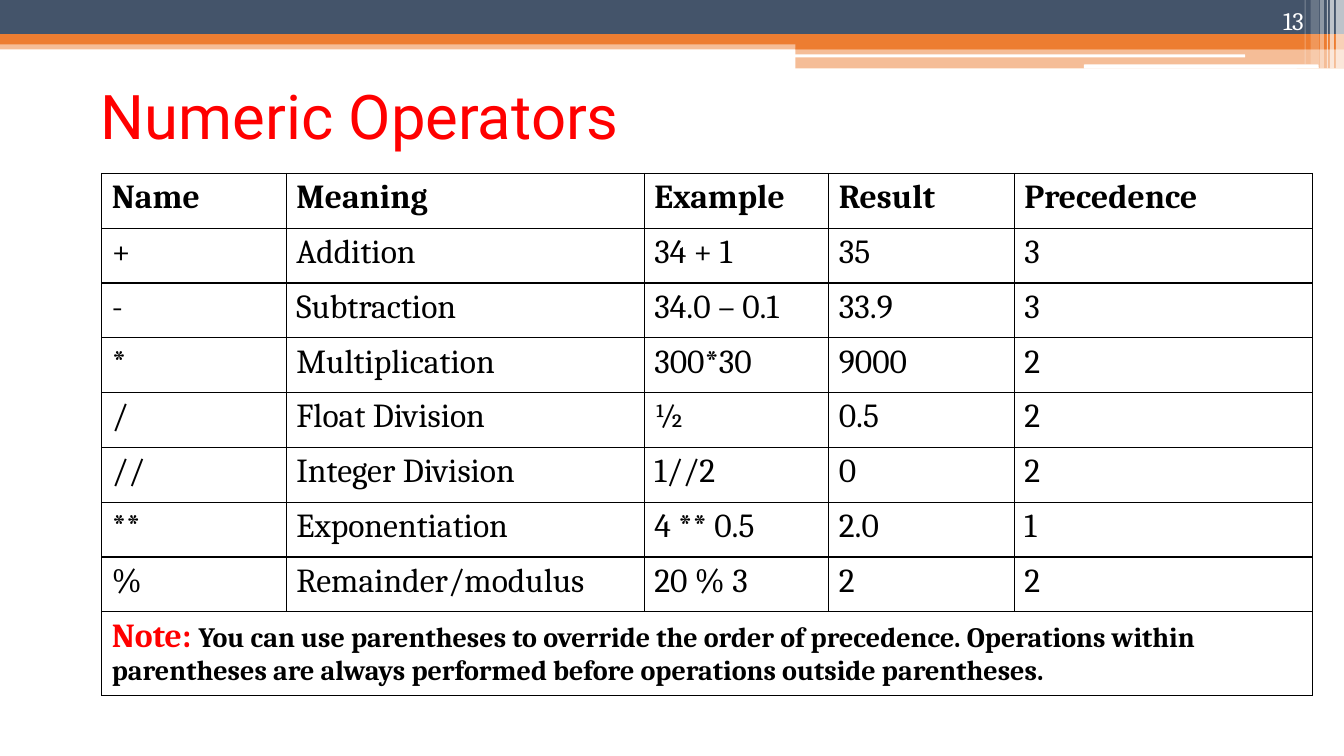
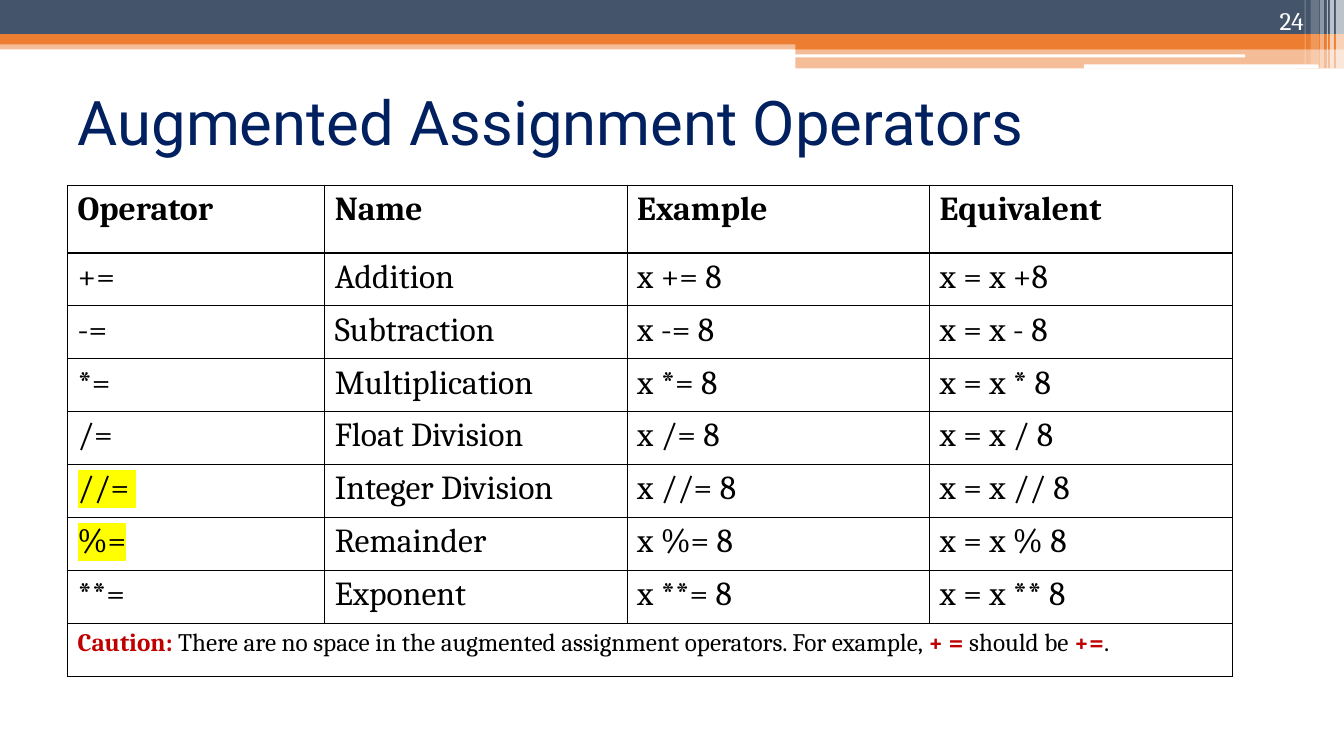
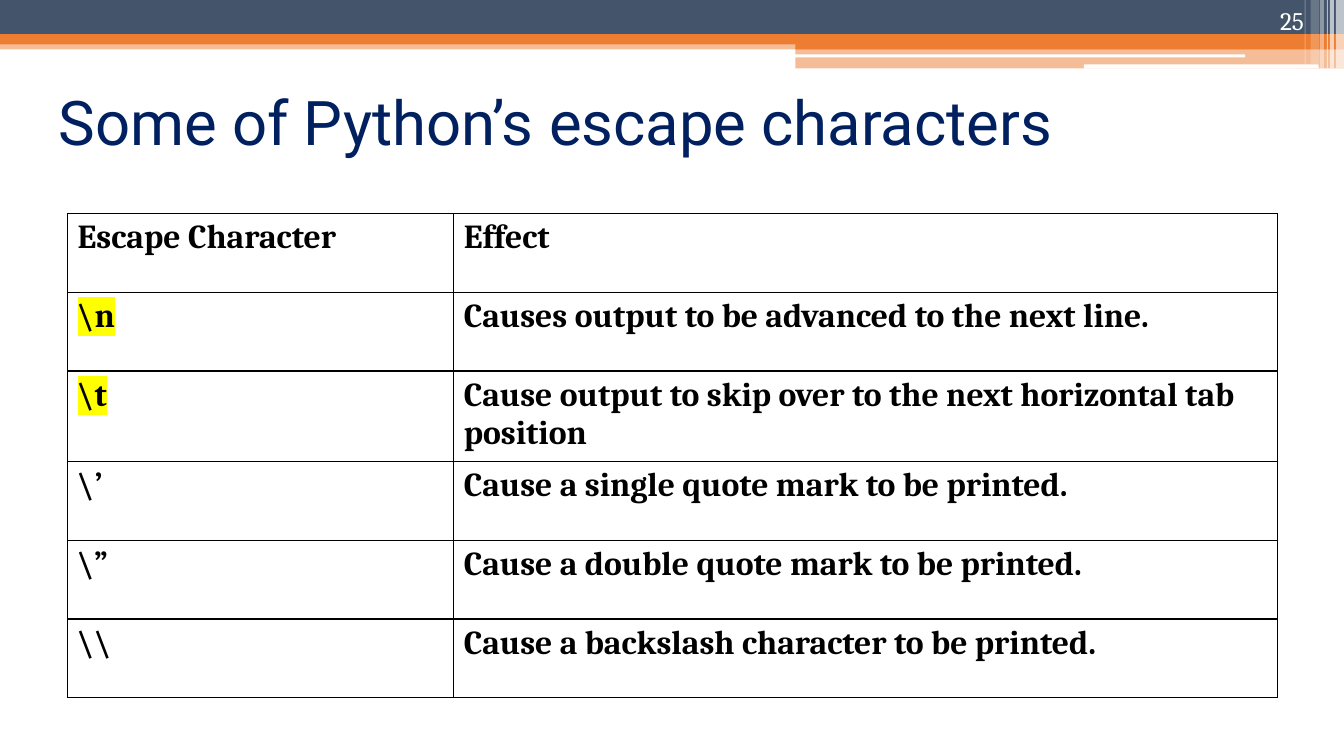
from lxml.etree import SubElement
from pptx import Presentation
from pptx.dml.color import RGBColor
from pptx.enum.shapes import MSO_SHAPE
from pptx.enum.text import MSO_ANCHOR, PP_ALIGN
from pptx.oxml import parse_xml
from pptx.oxml.ns import nsdecls, qn
from pptx.util import Inches, Pt

NAVY, RED, DARK_RED = "002060", "FF0000", "C00000"
BLACK, WHITE, YELLOW = "000000", "FFFFFF", "FFFF00"
SLATE, ORANGE = "44546A", "ED7D31"

BANDS = [
    (0, 0.4, 13.33, 0.09, ORANGE, 50),
    (0, 0, 13.33, 0.34, SLATE, 100),
    (0, 0.34, 13.33, 0.1, ORANGE, 100),
    (7.89, 0.39, 5.44, 0.1, ORANGE, 100),
    (7.89, 0.48, 5.44, 0.2, ORANGE, 50),
]
PILLS = [(7.88, 0.54, 4.47, 0.03, WHITE, 100), (10.75, 0.64, 2.33, 0.04, WHITE, 100)]
STRIPES = [
    (left, 0, width, height, WHITE, opacity)
    for left, width, height, opacity in [
        (13.25, 0.08, 0.68, 65),
        (13.19, 0.04, 0.68, 65),
        (13.16, 0.01, 0.68, 60),
        (13.09, 0.04, 0.68, 40),
        (13, 0.08, 0.64, 20),
        (12.94, 0.01, 0.64, 30),
    ]
]


def color(hex_string):
    return RGBColor.from_string(hex_string)


class Deck:
    title_font = "Roboto"
    body_font = "Cambria"

    def __init__(self):
        self.presentation = Presentation()
        self.presentation.slide_width = Inches(13.33)
        self.presentation.slide_height = Inches(7.5)
        self.layout = self.presentation.slide_layouts[5]
        for placeholder in list(self.layout.placeholders)[1:]:
            placeholder.element.getparent().remove(placeholder.element)
        self.slide = None

    def add_slide(self, title, title_left, title_top, title_color, number):
        first = self.slide is None
        self.slide = self.presentation.slides.add_slide(self.layout)
        if first:
            self.decorate_layout()
        self.add_title(title, title_left, title_top, title_color)
        self.add_number(number)

    def decorate_layout(self):
        kinds = [
            (MSO_SHAPE.RECTANGLE, BANDS),
            (MSO_SHAPE.ROUNDED_RECTANGLE, PILLS),
            (MSO_SHAPE.RECTANGLE, STRIPES),
        ]
        bars = [self.add_bar(kind, *bar) for kind, group in kinds for bar in group]
        for shape_id, bar in enumerate(bars, start=100):
            bar.element.xpath(".//p:cNvPr")[0].set("id", str(shape_id))
            self.layout.shapes.element.append(bar.element)

    def add_bar(self, kind, left, top, width, height, fill, opacity):
        shape = self.slide.shapes.add_shape(
            kind, Inches(left), Inches(top), Inches(width), Inches(height)
        )
        shape.shadow.inherit = False
        shape.line.fill.background()
        shape.fill.solid()
        shape.fill.fore_color.rgb = color(fill)
        if opacity < 100:
            fill_color = shape.element.spPr.find(".//" + qn("a:srgbClr"))
            SubElement(fill_color, qn("a:alpha")).set("val", str(opacity * 1000))
        return shape

    def set_font(self, font, name, size, hex_string, bold=False):
        font.name = name
        font.size = Pt(size)
        font.color.rgb = color(hex_string)
        font.bold = bold

    def add_title(self, text, left, top, hex_string):
        title = self.slide.shapes.title
        title.left, title.top = Inches(left), Inches(top)
        title.width, title.height = Inches(12), Inches(1.17)
        title.text_frame.vertical_anchor = MSO_ANCHOR.MIDDLE
        paragraph = title.text_frame.paragraphs[0]
        paragraph.text = text
        paragraph.alignment = PP_ALIGN.LEFT
        self.set_font(paragraph.font, self.title_font, 44, hex_string)

    def add_number(self, number):
        box = self.slide.shapes.add_textbox(
            Inches(11.92), Inches(0), Inches(1.11), Inches(0.4)
        )
        box.text_frame.word_wrap = True
        box.text_frame.vertical_anchor = MSO_ANCHOR.BOTTOM
        paragraph = box.text_frame.paragraphs[0]
        paragraph.text = str(number)
        paragraph.alignment = PP_ALIGN.RIGHT
        self.set_font(paragraph.font, self.body_font, 18, WHITE)

    def add_table(self, left, top, widths, heights, rows, note=None, bold_body=False):
        frame = self.slide.shapes.add_table(
            len(heights), len(widths), Inches(left), Inches(top),
            Inches(sum(widths)), Inches(sum(heights)),
        )
        table = frame.table
        table.first_row = table.horz_banding = False
        for column, width in zip(table.columns, widths):
            column.width = Inches(width)
        for row, height in zip(table.rows, heights):
            row.height = Inches(height)
        for cell in table.iter_cells():
            self.style_cell(cell)
        for row_index, row in enumerate(rows):
            for column_index, content in enumerate(row):
                cell = table.cell(row_index, column_index)
                self.fill_cell(cell, content, bold_body or row_index == 0)
        if note:
            last = len(heights) - 1
            table.cell(last, 0).merge(table.cell(last, len(widths) - 1))
            self.fill_cell(table.cell(last, 0), note)

    def style_cell(self, cell):
        cell.fill.background()
        properties = cell._tc.get_or_add_tcPr()
        for index, side in enumerate(("lnL", "lnR", "lnT", "lnB")):
            properties.insert(index, parse_xml(
                f'<a:{side} {nsdecls("a")} w="{Pt(1)}"><a:solidFill>'
                f'<a:srgbClr val="{BLACK}"/></a:solidFill></a:{side}>'
            ))

    def fill_cell(self, cell, content, bold=False):
        paragraph = cell.text_frame.paragraphs[0]
        self.set_font(paragraph.font, self.body_font, 24, BLACK, bold)
        runs = [(content, {})] if isinstance(content, str) else content
        for text, style in runs:
            self.add_run(paragraph, text, **style)

    def add_run(self, paragraph, text, size=None, fill=None, bold=None, highlight=None):
        run = paragraph.add_run()
        run.text = text
        if size:
            run.font.size = Pt(size)
        if fill:
            run.font.color.rgb = color(fill)
        if bold is not None:
            run.font.bold = bold
        if highlight:
            marker = SubElement(run.font._element, qn("a:highlight"))
            SubElement(marker, qn("a:srgbClr")).set("val", highlight)


def marked(text):
    return [(text, {"highlight": YELLOW})]


deck = Deck()

deck.add_slide("Numeric Operators", 0.9, 0.55, RED, 13)
deck.add_table(
    1.01, 1.72, [1.83, 3.55, 1.83, 1.84, 2.96], [4.35 / 8] * 8 + [0.8],
    [
        ("Name", "Meaning", "Example", "Result", "Precedence"),
        ("+", "Addition", "34 + 1", "35", "3"),
        ("-", "Subtraction", "34.0 – 0.1", "33.9", "3"),
        ("*", "Multiplication", "300*30", "9000", "2"),
        ("/", "Float Division", "½", "0.5", "2"),
        ("//", "Integer Division", "1//2", "0", "2"),
        ("**", "Exponentiation", "4 ** 0.5", "2.0", "1"),
        ("%", "Remainder/modulus", "20 % 3 ", "2", "2"),
    ],
    note=[
        ("Note: ", {"fill": RED, "bold": True}),
        (
            "You can use parentheses to override the order of precedence. Operations "
            "within parentheses are always performed before operations outside "
            "parentheses.",
            {"size": 20, "bold": True},
        ),
    ],
)

deck.add_slide("Augmented Assignment Operators", 0.67, 0.61, NAVY, 24)
operators = [
    ("+=", "Addition", "x = x +8"),
    ("-=", "Subtraction", "x = x - 8"),
    ("*=", "Multiplication", "x = x * 8"),
    ("/=", "Float Division", "x = x / 8"),
    ("//=", "Integer Division", "x = x // 8"),
    ("%=", "Remainder ", "x = x % 8"),
    ("**=", "Exponent", "x = x ** 8"),
]
highlighted = {"//=": marked("//= "), "%=": marked("%=")}
plain = {"size": 18}
warning = {"size": 18, "fill": DARK_RED, "bold": True}
deck.add_table(
    0.67, 1.84, [2.55, 3, 3, 3], [0.67] + [4.2 / 8] * 8,
    [("Operator", "Name", "Example", "Equivalent")]
    + [
        (highlighted.get(operator, operator), name, f"x {operator} 8", equivalent)
        for operator, name, equivalent in operators
    ],
    note=[
        ("Caution:", warning),
        (
            " There are no space in the augmented assignment operators. For example, ",
            plain,
        ),
        ("+ =", warning),
        (" should be ", plain),
        ("+=", warning),
        (".", plain),
    ],
)

deck.add_slide("Some of Python’s escape characters", 0.48, 0.61, NAVY, 25)
deck.add_table(
    0.67, 2.12, [3.83, 8.17], [0.78] * 6,
    [
        ("Escape Character", "Effect"),
        (marked("\\n"), "Causes output to be advanced to the next line."),
        (
            marked("\\t"),
            "Cause output to skip over to the next horizontal tab position",
        ),
        ("\\’", "Cause a single quote mark to be printed."),
        ("\\”", "Cause a double quote mark to be printed."),
        ("\\\\", "Cause a backslash character to be printed."),
    ],
    bold_body=True,
)

deck.presentation.save("out.pptx")
